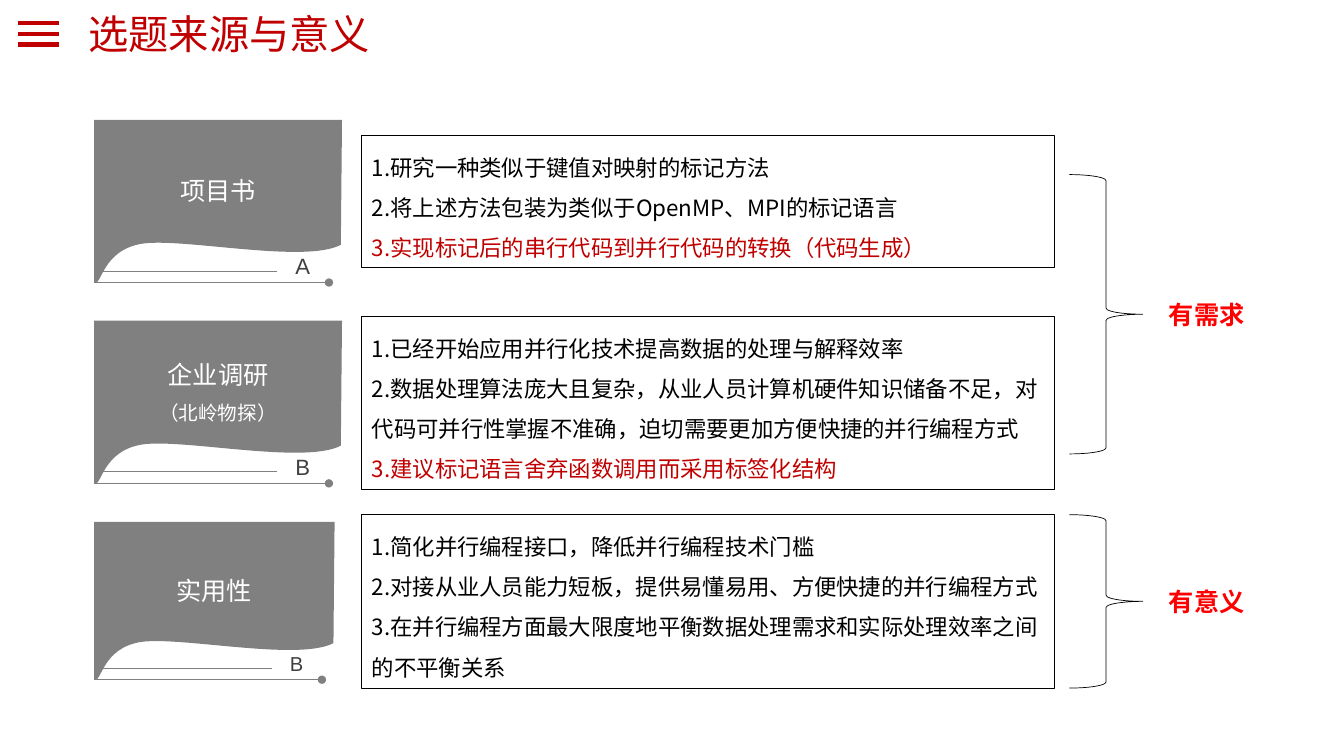
from pptx import Presentation
from pptx import util as u
from pptx.dml.color import RGBColor
from pptx.enum import shapes, text
from pptx.oxml import parse_xml
from pptx.oxml.ns import nsdecls, qn

RED, GREY, BLACK = "C00000", "808080", "000000"
FRAME = {"word_wrap": True, "auto_size": text.MSO_AUTO_SIZE.NONE,
         "vertical_anchor": text.MSO_ANCHOR.MIDDLE}
GROWING = FRAME | {"auto_size": text.MSO_AUTO_SIZE.SHAPE_TO_FIT_TEXT,
                   "vertical_anchor": text.MSO_ANCHOR.TOP}


def write(shape, lines, frame_format, align="LEFT", spacing=1.0, font="Arial", bold=False):
    """Fill a shape with paragraphs given as (words, size, colour)."""
    frame = shape.text_frame
    for name, value in frame_format.items():
        setattr(frame, name, value)
    for index, (words, size, colour) in enumerate(lines):
        paragraph = frame.add_paragraph() if index else frame.paragraphs[0]
        paragraph.alignment = getattr(text.PP_ALIGN, align)
        paragraph.line_spacing = spacing
        run = paragraph.add_run()
        run.text = words
        for name, value in {"name": font, "size": u.Pt(size), "bold": bold}.items():
            setattr(run.font, name, value)
        run.font.color.rgb = RGBColor.from_string(colour)
        run.font._element.find(qn("a:latin")).addnext(
            parse_xml(f'<a:ea {nsdecls("a")} typeface="Noto Sans CJK SC"/>'))


def draw_line(left, right, top, colour, width, dot=False):
    """Draw a level line, with a round end on the right if asked."""
    line = slide.shapes.add_connector(
        shapes.MSO_CONNECTOR.STRAIGHT, u.Cm(left), u.Cm(top), u.Cm(right), u.Cm(top))
    line.line.color.rgb = RGBColor.from_string(colour)
    line.line.width = u.Pt(width)
    if dot:
        line.line._get_or_add_ln().append(
            parse_xml(f'<a:tailEnd {nsdecls("a")} type="oval"/>'))
    line._element.spPr.append(parse_xml(f'<a:effectLst {nsdecls("a")}/>'))


presentation = Presentation()
presentation.slide_width, presentation.slide_height = u.Cm(33.87), u.Cm(19.05)
slide = presentation.slides.add_slide(presentation.slide_layouts[5])

# Title and menu bars
title = slide.shapes.title
title.left, title.top, title.width, title.height = map(u.Cm, (1.78, 0.13, 7.92, 1.17))
margins = {"margin_left": u.Cm(0.44), "margin_top": 0, "margin_right": 0, "margin_bottom": 0}
write(title, [("选题来源与意义", 28.8, RED)], FRAME | margins, spacing=1.2)
for bar in range(3):
    draw_line(0.46, 1.48, 0.58 + 0.27 * bar, RED, 3)

# Outline of a flag, in cm from its top left corner; the last two corners end Bezier curves
flag_corners = [(6.25, 0), (6.22, 3.15), (1.22, 3.12), (0, 4.11)]
flag_curves = [((5.31, 3.63), (2.26, 2.97), (1.22, 3.12)),
               ((0.2, 3.28), (0.2, 4.19), (0, 4.11))]

# Each row: flag top, flag scale, flag lines, letter, letter size, box top, box height, box lines
rows = [
    (3.02, 1, [("项目书", 18)], "A", 15.8, 3.41, 3.33, [
        ("1.研究一种类似于键值对映射的标记方法", BLACK),
        ("2.将上述方法包装为类似于OpenMP、MPI的标记语言", BLACK),
        ("3.实现标记后的串行代码到并行代码的转换（代码生成）", RED)]),
    (8.08, 1, [("企业调研", 18), ("（北岭物探）", 14)], "B", 15.8, 7.97, 4.37, [
        ("1.已经开始应用并行化技术提高数据的处理与解释效率", BLACK),
        ("2.数据处理算法庞大且复杂，从业人员计算机硬件知识储备不足，对"
         "代码可并行性掌握不准确，迫切需要更加方便快捷的并行编程方式", BLACK),
        ("3.建议标记语言舍弃函数调用而采用标签化结构", RED)]),
    (13.15, 0.97, [("实用性", 18)], "B", 14.4, 12.97, 4.37, [
        ("1.简化并行编程接口，降低并行编程技术门槛", BLACK),
        ("2.对接从业人员能力短板，提供易懂易用、方便快捷的并行编程方式", BLACK),
        ("3.在并行编程方面最大限度地平衡数据处理需求和实际处理效率之间"
         "的不平衡关系", BLACK)]),
]
LEFT = 2.37
for top, scale, flag_lines, letter, letter_size, box_top, box_height, box_lines in rows:
    draw_line(LEFT + 0.2 * scale, LEFT + 4.62 * scale, top + 3.81 * scale, GREY, 0.5)
    draw_line(LEFT, LEFT + 5.92 * scale, top + 4.1 * scale, GREY, 0.5, dot=True)

    builder = slide.shapes.build_freeform(0, 0, scale=u.Cm(scale) / 100)
    builder.add_line_segments([(round(x * 100), round(y * 100)) for x, y in flag_corners])
    flag = builder.convert_to_shape(u.Cm(LEFT), u.Cm(top))
    straight_edges = list(flag._element.iter(qn("a:lnTo")))
    for edge, curve in zip(straight_edges[2:4], flag_curves):
        points = "".join(f'<a:pt x="{round(x * 100)}" y="{round(y * 100)}"/>' for x, y in curve)
        edge.getparent().replace(edge, parse_xml(
            f'<a:cubicBezTo {nsdecls("a")}>{points}</a:cubicBezTo>'))
    flag.shadow.inherit = False
    flag.fill.solid()
    flag.fill.fore_color.rgb = RGBColor.from_string(GREY)
    flag.line.fill.background()
    write(flag, [(words, size, "FFFFFF") for words, size in flag_lines],
          FRAME | {"margin_bottom": u.Cm(1.04)}, "CENTER", 1.5)

    label = slide.shapes.add_textbox(
        u.Cm(LEFT + 4.7 * scale), u.Cm(top + 3.24 * scale),
        u.Cm(1.12 * scale), u.Cm(0.86 * scale))
    write(label, [(letter, letter_size, "404040")], FRAME, "CENTER")

    box = slide.shapes.add_shape(shapes.MSO_SHAPE.RECTANGLE, u.Cm(9.12), u.Cm(box_top),
                                 u.Cm(17.45), u.Cm(box_height))
    box.shadow.inherit = False
    box.fill.background()
    box.line.color.rgb = RGBColor.from_string(BLACK)
    box.line.width = u.Pt(0.75)
    write(box, [(words, 16, colour) for words, colour in box_lines],
          GROWING, spacing=1.5, font="Noto Sans CJK SC")

# Braces with their conclusions
for top, height, conclusion in ((4.4, 7.04, "有需求"), (12.97, 4.37, "有意义")):
    brace = slide.shapes.add_shape(shapes.MSO_SHAPE.RIGHT_BRACE, u.Cm(26.95), u.Cm(top),
                                   u.Cm(1.85), u.Cm(height))
    brace.shadow.inherit = False
    brace.fill.background()
    brace.line.color.rgb = RGBColor.from_string(BLACK)
    brace.line.width = u.Pt(0.5)
    label = slide.shapes.add_textbox(u.Cm(29.21), u.Cm(top + height / 2 - 0.51),
                                     u.Cm(2.41), u.Cm(1.02))
    write(label, [(conclusion, 18, "FF0000")], GROWING | {"word_wrap": False}, bold=True)

presentation.save("out.pptx")
